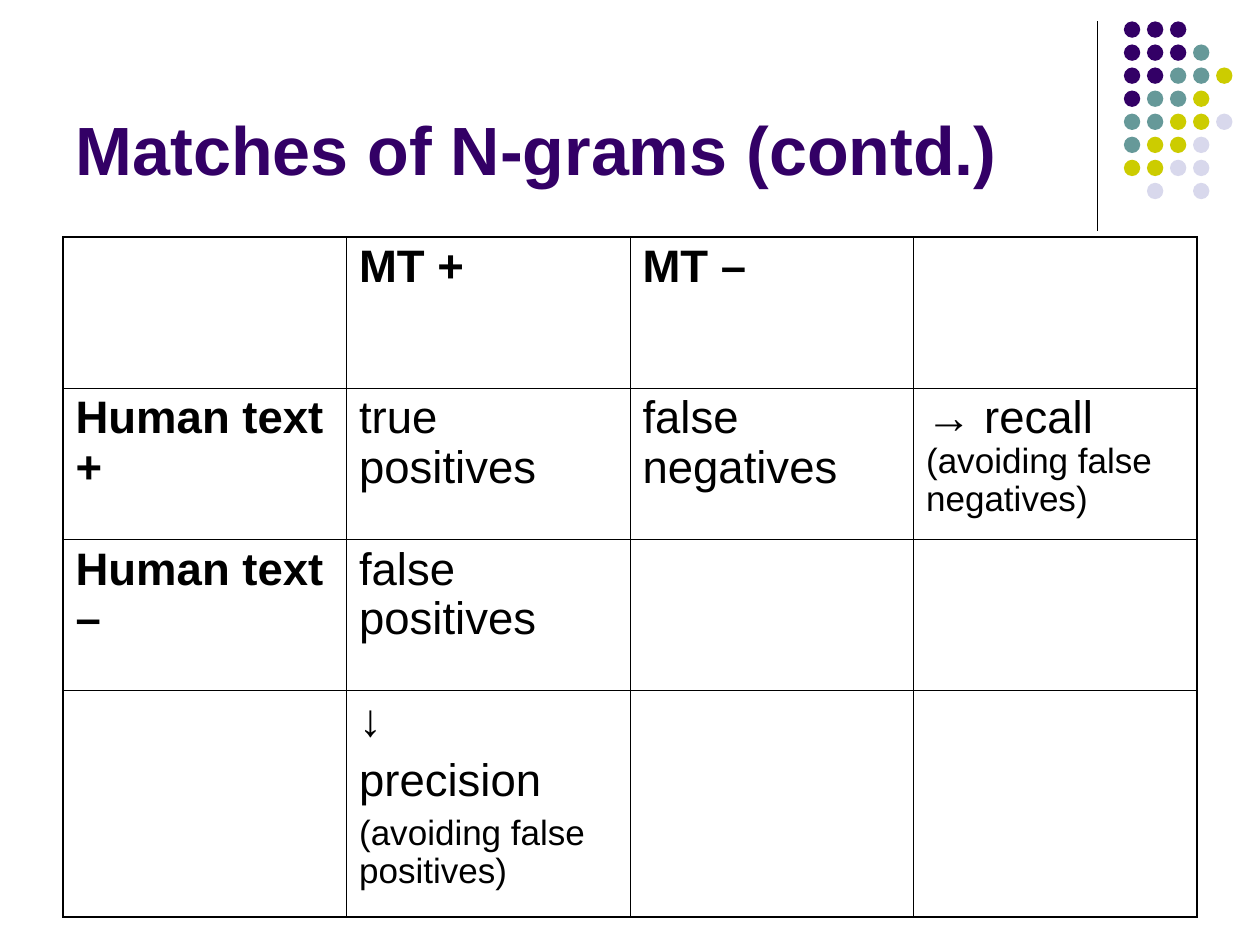
from lxml import etree
from pptx import Presentation
from pptx.dml.color import RGBColor
from pptx.enum.shapes import MSO_CONNECTOR, MSO_SHAPE
from pptx.enum.text import MSO_ANCHOR, MSO_AUTO_SIZE, PP_ALIGN
from pptx.oxml.ns import qn
from pptx.util import Inches, Pt

FONT = "Arial"
BLACK, PURPLE = "000000", "330066"
DOT_COLOURS = {"P": PURPLE, "T": "669999", "Y": "CCCC00", "L": "D8D8EC"}
DOT_ROWS = ["PPP", "PPPT", "PPTTY", "PTTY", "TTYYL", "TYYL", "YYLL", " L L"]
LARGE, SMALL = 26, 20
OUTER, INNER = 1.08, 0.45

# Each cell is a list of paragraphs: (space before, runs of (text, size, bold))
def heading(text):
    return [(6.5, [(text, LARGE, True)])]


def entry(text):
    return [(6.5, [(text, LARGE, False)])]


RECALL = [(5, [("→ recall ", LARGE, False), ("(avoiding false negatives)", SMALL, False)])]
PRECISION = entry("↓") + entry("precision") + [(5, [("(avoiding false positives)", SMALL, False)])]
CELLS = [
    [[], heading("MT +"), heading("MT –"), []],
    [heading("Human text +"), entry("true positives"), entry("false negatives"), RECALL],
    [heading("Human text –"), entry("false positives"), [], []],
    [[], PRECISION, [], []],
]
ROW_HEIGHTS = [1.2, 1.2, 1.2, 1.8]


def colour(value):
    return RGBColor.from_string(value)


def add_run(paragraph, text, size, bold, text_colour):
    run = paragraph.add_run()
    run.text = text
    run.font.name = FONT
    run.font.size = Pt(size)
    run.font.bold = bold
    run.font.color.rgb = colour(text_colour)


def add_rule(slide, x, top, bottom):
    rule = slide.shapes.add_connector(
        MSO_CONNECTOR.STRAIGHT, Inches(x), Inches(top), Inches(x), Inches(bottom))
    rule.line.color.rgb = colour(BLACK)
    rule.line.width = Pt(0.75)
    etree.SubElement(rule._element.spPr, qn("a:effectLst"))


def add_dots(slide, left, top, pitch, diameter):
    group = slide.shapes.add_group_shape()
    for row, pattern in enumerate(DOT_ROWS):
        for column, key in enumerate(pattern):
            if key == " ":
                continue
            dot = group.shapes.add_shape(
                MSO_SHAPE.OVAL, Inches(left + column * pitch), Inches(top + row * pitch),
                Inches(diameter), Inches(diameter))
            dot.shadow.inherit = False
            dot.fill.solid()
            dot.fill.fore_color.rgb = colour(DOT_COLOURS[key])
            dot.line.fill.background()


def place_title(slide, left, top, width, height):
    title = slide.shapes.title
    title.left, title.top = Inches(left), Inches(top)
    title.width, title.height = Inches(width), Inches(height)
    frame = title.text_frame
    frame.word_wrap = True
    frame.auto_size = MSO_AUTO_SIZE.NONE
    frame.vertical_anchor = MSO_ANCHOR.BOTTOM
    paragraph = frame.paragraphs[0]
    paragraph.alignment = PP_ALIGN.LEFT
    add_run(paragraph, "Matches of N-grams (contd.)", 39, True, PURPLE)


def set_borders(cell, widths):
    """Draw the left, right, top and bottom borders, in that order."""
    properties = cell._tc.get_or_add_tcPr()
    for index, (side, width) in enumerate(zip("LRTB", widths)):
        line = etree.Element(qn(f"a:ln{side}"), w=str(Pt(width)))
        fill = etree.SubElement(line, qn("a:solidFill"))
        etree.SubElement(fill, qn("a:srgbClr"), val=BLACK)
        properties.insert(index, line)


def fill_cell(cell, paragraphs):
    cell.fill.background()
    cell.margin_left = cell.margin_right = Inches(0.1)
    cell.margin_top = cell.margin_bottom = Inches(0.05)
    frame = cell.text_frame
    for index, (space_before, runs) in enumerate(paragraphs):
        paragraph = frame.add_paragraph() if index else frame.paragraphs[0]
        paragraph.space_before = Pt(space_before)
        paragraph.line_spacing = 0.97
        for text, size, bold in runs:
            add_run(paragraph, text, size, bold, BLACK)


def add_match_table(slide, left, top, width, height):
    rows, columns = len(CELLS), len(CELLS[0])
    table = slide.shapes.add_table(
        rows, columns, Inches(left), Inches(top), Inches(width), Inches(height)).table
    table.first_row = table.horz_banding = False
    for column in table.columns:
        column.width = Inches(width / columns)
    for r, row in enumerate(CELLS):
        table.rows[r].height = Inches(height * ROW_HEIGHTS[r] / sum(ROW_HEIGHTS))
        for c, paragraphs in enumerate(row):
            cell = table.cell(r, c)
            fill_cell(cell, paragraphs)
            on_edge = (c == 0, c == columns - 1, r == 0, r == rows - 1)
            set_borders(cell, [OUTER if edge else INNER for edge in on_edge])


def main():
    presentation = Presentation()
    presentation.slide_width, presentation.slide_height = Inches(10), Inches(7.5)
    slide = presentation.slides.add_slide(presentation.slide_layouts[5])
    add_rule(slide, 8.71, 0.17, 1.83)
    add_dots(slide, 8.92, 0.17, 0.183, 0.13)
    place_title(slide, 0.5, 0.13, 8.25, 1.42)
    add_match_table(slide, 0.5, 1.88, 9, 5.4)
    presentation.save("out.pptx")


if __name__ == "__main__":
    main()
